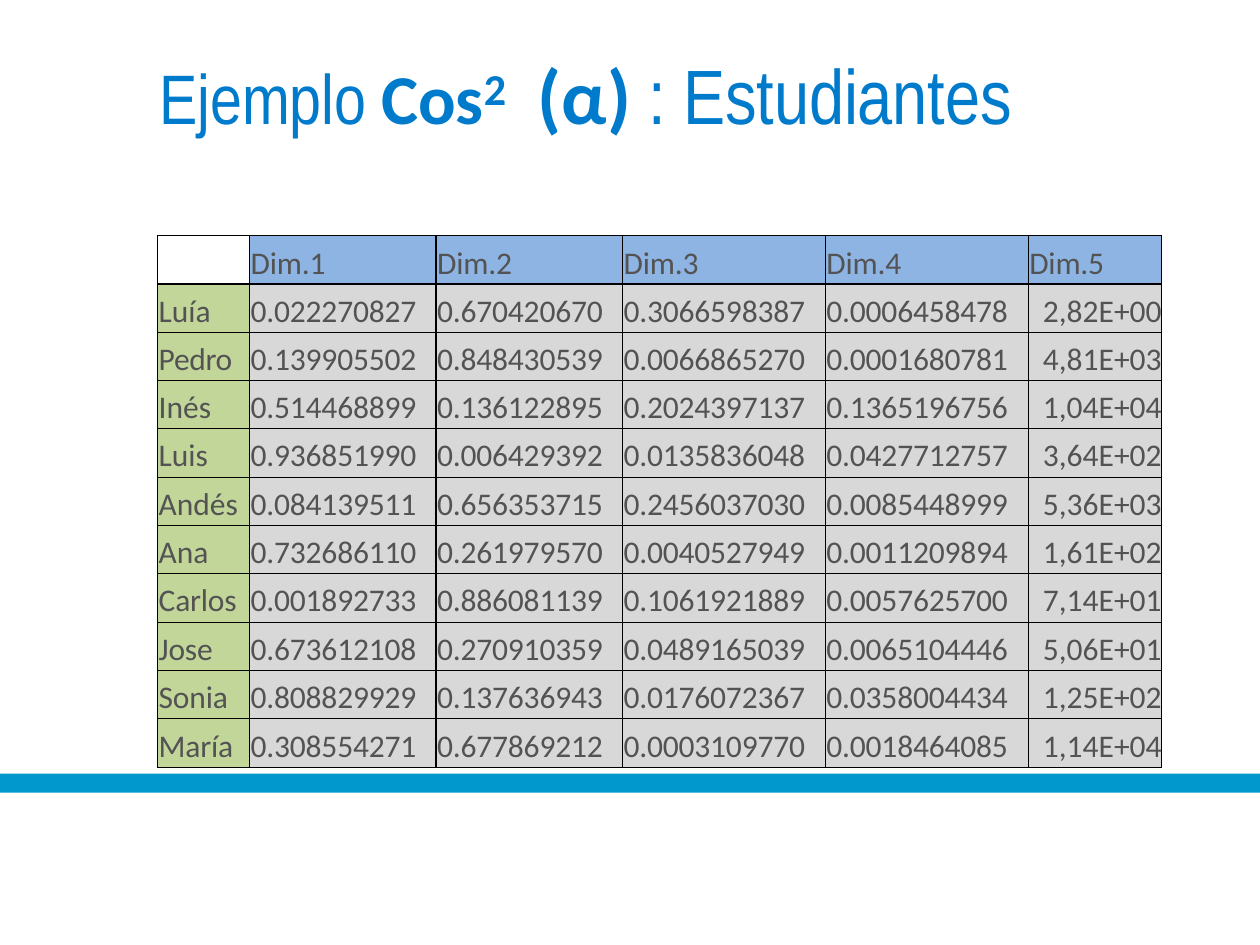
from dataclasses import dataclass

from lxml.etree import SubElement
from pptx import Presentation
from pptx.dml.color import RGBColor
from pptx.enum.shapes import MSO_SHAPE
from pptx.enum.text import MSO_ANCHOR, PP_ALIGN
from pptx.oxml import parse_xml
from pptx.oxml.ns import nsdecls, qn
from pptx.util import Inches, Pt

COLORS = {
    "band": "0098CD",
    "title": "007BCC",
    "text": "535353",
    "header": "8DB4E3",
    "student": "C2D69A",
    "value": "D8D8D8",
    "border": "000000",
}
COLUMN_WIDTHS = (0.73, 1.48, 1.48, 1.61, 1.61, 1.06)
TABLE_HEIGHT = 4.22


@dataclass(frozen=True)
class Span:
    """A run of text with its own format."""

    text: str
    size: float = 18
    font: str = "Calibri"
    color: str = "text"
    bold: bool = False
    spacing: float = -0.1
    baseline: int = 0


@dataclass(frozen=True)
class Student:
    """The squared cosines of one student on each dimension."""

    name: str
    cosines: tuple[str, str, str, str]
    mantissa: str
    exponent: str
    spacing: float = -0.1
    line: float | None = 21.5
    before: float = 5.1


TITLE = (
    Span("Ejemplo ", 40, "Arial Narrow", "title"),
    Span("Cos", 40, color="title", bold=True),
    Span("2\t", 43.5, color="title", bold=True, baseline=25),
    Span("(α) ", 44, color="title", bold=True),
    Span(": ", 44, "Arial Narrow", "title", spacing=0),
    Span("Estudiantes", 44, "Arial Narrow", "title"),
)
STUDENTS = (
    Student("Luía", ("0.022270827", "0.670420670", "0.3066598387", "0.0006458478"), "2,82", "+00", 0, None, 4.9),
    Student("Pedro", ("0.139905502", "0.848430539", "0.0066865270", "0.0001680781"), "4,81", "+03", -0.2),
    Student("Inés", ("0.514468899", "0.136122895", "0.2024397137", "0.1365196756"), "1,04", "+04", 0),
    Student("Luis", ("0.936851990", "0.006429392", "0.0135836048", "0.0427712757"), "3,64", "+02", 0),
    Student("Andés", ("0.084139511", "0.656353715", "0.2456037030", "0.0085448999"), "5,36", "+03", 0),
    Student("Ana", ("0.732686110", "0.261979570", "0.0040527949", "0.0011209894"), "1,61", "+02", 0, 21.6, 5),
    Student("Carlos", ("0.001892733", "0.886081139", "0.1061921889", "0.0057625700"), "7,14", "+01", -0.1, 21.6, 5),
    Student("Jose", ("0.673612108", "0.270910359", "0.0489165039", "0.0065104446"), "5,06", "+01", -0.1, 21.6, 5),
    Student("Sonia", ("0.808829929", "0.137636943", "0.0176072367", "0.0358004434"), "1,25", "+02", -0.1, 21.6, 5),
    Student("María", ("0.308554271", "0.677869212", "0.0003109770", "0.0018464085"), "1,14", "+04", -0.1, None, 5),
)


def paint(fill, color: str) -> None:
    """Give a fill one of the named colours."""
    fill.solid()
    fill.fore_color.rgb = RGBColor.from_string(COLORS[color])


def add_spans(para, spans: tuple[Span, ...]) -> None:
    """Add formatted runs to a paragraph."""
    for span in spans:
        run = para.add_run()
        run.text = span.text
        run.font.size = Pt(span.size)
        run.font.name = span.font
        run.font.bold = span.bold
        run.font.color.rgb = RGBColor.from_string(COLORS[span.color])
        properties = run.font._element
        properties.set("spc", str(round(span.spacing * 100)))
        if span.baseline:
            properties.set("baseline", str(span.baseline * 1000))


def set_indent(para, inches: float) -> None:
    """Move the left edge of a paragraph."""
    properties = para._p.get_or_add_pPr()
    properties.set("marL", str(Inches(inches)))
    properties.set("indent", "0")


def add_band(page) -> None:
    """Draw the full-width band under the table."""
    band = page.shapes.add_shape(MSO_SHAPE.RECTANGLE, 0, Inches(6.14), Inches(10), Inches(0.15))
    band.shadow.inherit = False
    band.line.fill.background()
    paint(band.fill, "band")


def add_title(page) -> None:
    """Write the title with its tab stop."""
    box = page.shapes.add_textbox(Inches(1.23), Inches(0.36), Inches(7.54), Inches(0.76))
    frame = box.text_frame
    frame.word_wrap = True
    frame.vertical_anchor = MSO_ANCHOR.MIDDLE
    frame.margin_left = frame.margin_right = frame.margin_bottom = 0
    frame.margin_top = Inches(0.01)
    para = frame.paragraphs[0]
    para.space_before = Pt(1)
    set_indent(para, 0.04)
    stops = SubElement(para._p.get_or_add_pPr(), qn("a:tabLst"))
    SubElement(stops, qn("a:tab"), pos=str(Inches(3.44)), algn="l")
    add_spans(para, TITLE)


def format_cell(cell, color: str | None) -> None:
    """Set the margins, borders and fill of a cell."""
    cell.margin_left = cell.margin_right = cell.margin_bottom = 0
    cell.margin_top = Inches(0.07)
    if color:
        paint(cell.fill, color)
    else:
        cell.fill.background()
    properties = cell._tc.get_or_add_tcPr()
    for position, side in enumerate("LRTB"):
        border = parse_xml(
            f'<a:ln{side} {nsdecls("a")} w="{Pt(0.75)}"><a:solidFill>'
            f'<a:srgbClr val="{COLORS["border"]}"/></a:solidFill></a:ln{side}>'
        )
        properties.insert(position, border)


def fill_cell(
    cell, color: str, spans: tuple[Span, ...], before: float, line: float | None = None, right: bool = False
) -> None:
    """Format a cell and write its text."""
    format_cell(cell, color)
    para = cell.text_frame.paragraphs[0]
    para.space_before = Pt(before)
    if line:
        para.line_spacing = Pt(line)
    if right:
        para.alignment = PP_ALIGN.RIGHT
    else:
        set_indent(para, 0.01)
    add_spans(para, spans)


def add_cosine_table(page) -> None:
    """Build the table of students by dimension."""
    row_count = len(STUDENTS) + 1
    table = page.shapes.add_table(
        row_count, len(COLUMN_WIDTHS), Inches(1.25), Inches(1.87), Inches(sum(COLUMN_WIDTHS)), Inches(TABLE_HEIGHT)
    ).table
    table.first_row = table.horz_banding = False
    for column, width in zip(table.columns, COLUMN_WIDTHS):
        column.width = Inches(width)
    for row in table.rows:
        row.height = Inches(TABLE_HEIGHT / row_count)
    format_cell(table.cell(0, 0), None)
    for dimension in range(1, len(COLUMN_WIDTHS)):
        fill_cell(table.cell(0, dimension), "header", (Span(f"Dim.{dimension}"),), 4.9)
    for row, student in enumerate(STUDENTS, 1):
        layout = (student.before, student.line)
        fill_cell(table.cell(row, 0), "student", (Span(student.name, spacing=student.spacing),), *layout)
        for column, cosine in enumerate(student.cosines, 1):
            fill_cell(table.cell(row, column), "value", (Span(cosine),), *layout)
        scientific = (Span(student.mantissa, spacing=0), Span("E"), Span(student.exponent, spacing=0))
        fill_cell(table.cell(row, len(COLUMN_WIDTHS) - 1), "value", scientific, *layout, right=True)


def main() -> None:
    """Build and save the deck."""
    deck = Presentation()
    deck.slide_width, deck.slide_height = Inches(10), Inches(7.5)
    page = deck.slides.add_slide(deck.slide_layouts[6])
    add_band(page)
    add_title(page)
    add_cosine_table(page)
    deck.save("out.pptx")


if __name__ == "__main__":
    main()
